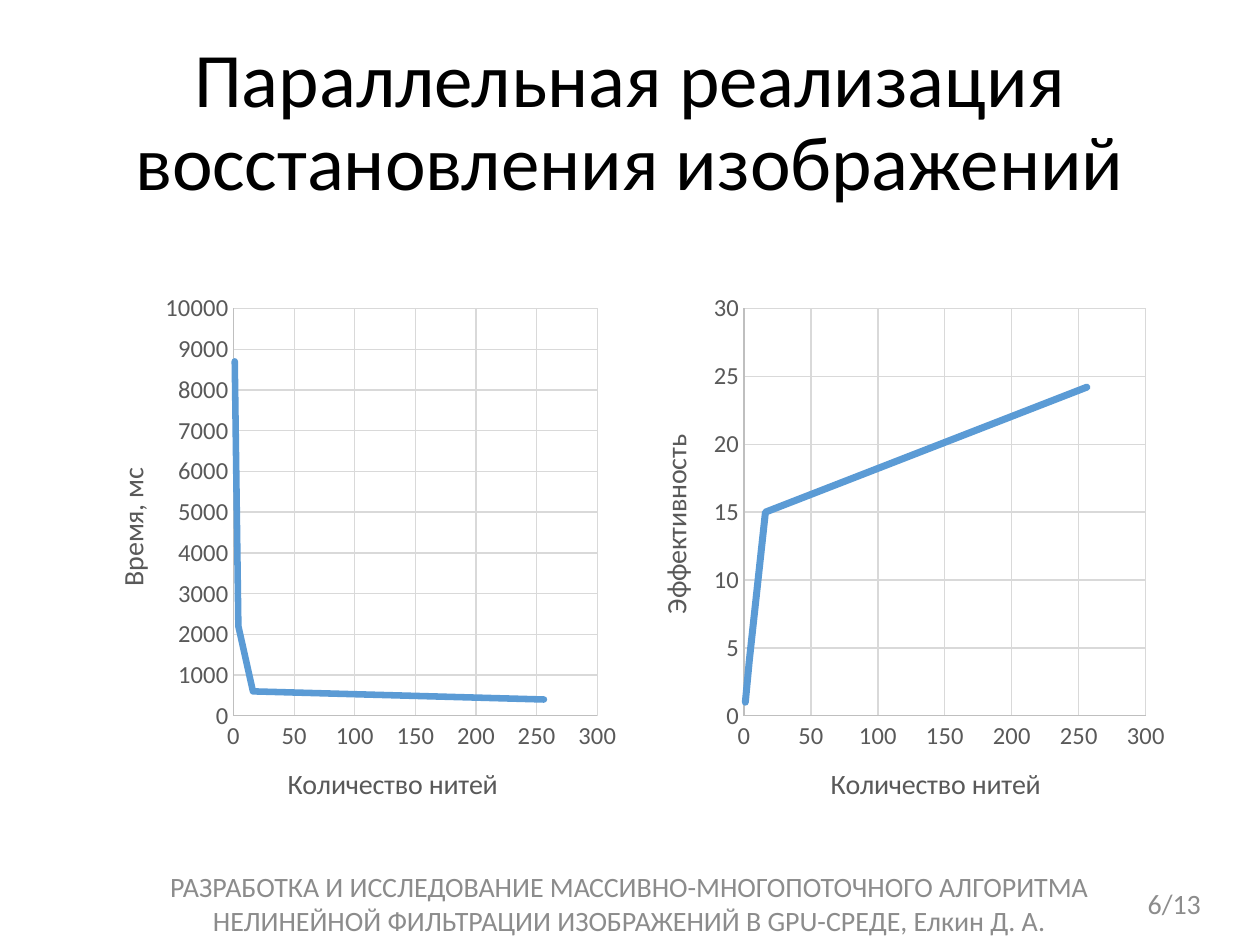
from lxml import etree
from pptx import Presentation
from pptx.chart.data import XyChartData
from pptx.dml.color import RGBColor
from pptx.enum.chart import XL_CHART_TYPE, XL_TICK_MARK
from pptx.enum.text import MSO_ANCHOR, PP_ALIGN
from pptx.util import Inches, Pt

SCATTER = XL_CHART_TYPE.XY_SCATTER_LINES_NO_MARKERS
NO_TICK = XL_TICK_MARK.NONE
MIDDLE = MSO_ANCHOR.MIDDLE
CENTER, RIGHT = PP_ALIGN.CENTER, PP_ALIGN.RIGHT
FONT = "Calibri"
COLORS = {"title": "000000", "footer": "8C8C8C", "label": "595959",
          "axis": "BFBFBF", "grid": "D9D9D9", "series": "5B9BD5"}
CHART_NS = "http://schemas.openxmlformats.org/drawingml/2006/chart"
DRAWING_NS = "http://schemas.openxmlformats.org/drawingml/2006/main"
THREADS = [1, 4, 16, 256]


def color(name):
    return RGBColor.from_string(COLORS[name])


def style_font(font, size, color_name):
    font.name = FONT
    font.size = Pt(size)
    font.bold = False
    font.color.rgb = color(color_name)


def style_line(line, width, color_name):
    line.width = Pt(width)
    line.color.rgb = color(color_name)


def add_text(slide, box, text, size, color_name, alignment, spacing=1.0):
    shape = slide.shapes.add_textbox(*map(Inches, box))
    frame = shape.text_frame
    frame.word_wrap = True
    frame.vertical_anchor = MIDDLE
    frame.text = text
    paragraph = frame.paragraphs[0]
    paragraph.alignment = alignment
    paragraph.line_spacing = spacing
    style_font(paragraph.runs[0].font, size, color_name)


def set_layout(parent, after, **fractions):
    """Place a chart part by fractions of the chart box."""
    for old in parent.findall(f"{{{CHART_NS}}}layout"):
        parent.remove(old)
    layout = etree.Element(f"{{{CHART_NS}}}layout")
    manual = etree.SubElement(layout, f"{{{CHART_NS}}}manualLayout")
    settings = {"xMode": "edge", "yMode": "edge", **fractions}
    if "w" in fractions:
        settings = {"layoutTarget": "inner", **settings}
    for tag, value in settings.items():
        etree.SubElement(manual, f"{{{CHART_NS}}}{tag}").set("val", str(value))
    if after is None:
        parent.insert(0, layout)
    else:
        after.addnext(layout)


def style_axis(axis, title, title_place, maximum, step):
    axis.minimum_scale, axis.maximum_scale, axis.major_unit = 0, maximum, step
    axis.major_tick_mark = axis.minor_tick_mark = NO_TICK
    axis.has_major_gridlines = True
    style_line(axis.major_gridlines.format.line, 0.75, "grid")
    style_line(axis.format.line, 0.75, "axis")
    style_font(axis.tick_labels.font, 14, "label")
    axis.tick_labels.number_format = "General"
    axis.tick_labels.number_format_is_linked = False
    frame = axis.axis_title.text_frame
    frame.text = title
    style_font(frame.paragraphs[0].runs[0].font, 16, "label")
    title_element = axis.axis_title._element
    text_element = title_element.find(f"{{{CHART_NS}}}tx")
    set_layout(title_element, text_element, x=title_place[0], y=title_place[1])


def add_thread_chart(slide, box, values, value_title, value_place,
                     maximum, step, plot_left, plot_width, line_width):
    data = XyChartData()
    series_data = data.add_series("Series 1")
    for threads, value in zip(THREADS, values):
        series_data.add_data_point(threads, value)
    chart = slide.shapes.add_chart(SCATTER, *map(Inches, box), data).chart
    chart.has_legend = False
    chart.has_title = False
    style_font(chart.font, 10, "title")
    chart.plots[0].vary_by_categories = False
    style_axis(chart.category_axis, "Количество нитей", (0.36, 0.87), 300, 50)
    style_axis(chart.value_axis, value_title, value_place, maximum, step)
    series = chart.plots[0].series[0]
    series.smooth = False
    style_line(series.format.line, line_width, "series")
    # Round line ends
    series._element.find(f".//{{{DRAWING_NS}}}ln").set("cap", "rnd")
    plot_area = chart._chartSpace.find(f".//{{{CHART_NS}}}plotArea")
    set_layout(plot_area, None, x=plot_left, y=0.05, w=plot_width, h=0.74)


def add_charts(slide, left, top, width, height):
    half = width / 2
    add_thread_chart(slide, (left, top, half, height), [8700, 2200, 600, 400],
                     "Время, мс", (0.04, 0.33), 10000, 1000, 0.27, 0.67, 3.75)
    add_thread_chart(slide, (left + half, top, half, height), [1, 4.1, 15, 24.2],
                     "Эффективность", (0.04, 0.27), 30, 5, 0.21, 0.74, 4)


def add_footer(slide, top, height):
    add_text(slide, (1.09, top, 7.81, height),
             "РАЗРАБОТКА И ИССЛЕДОВАНИЕ МАССИВНО-МНОГОПОТОЧНОГО АЛГОРИТМА "
             "НЕЛИНЕЙНОЙ ФИЛЬТРАЦИИ ИЗОБРАЖЕНИЙ В GPU-СРЕДЕ, Елкин Д. А.",
             16, "footer", CENTER)
    add_text(slide, (8.2, top, 1.43, height), "6/13", 16, "footer", RIGHT)


presentation = Presentation()
presentation.slide_width = Inches(10)
presentation.slide_height = Inches(7.5)
slide = presentation.slides.add_slide(presentation.slide_layouts[6])

# Charts, footer, title
add_charts(slide, 0.69, 2.23, 8.62, 4.37)
add_footer(slide, 6.97, 0.4)
add_text(slide, (0.69, 0.4, 8.62, 1.17),
         "Параллельная реализация восстановления изображений",
         44, "title", CENTER, 0.9)

presentation.save("out.pptx")
